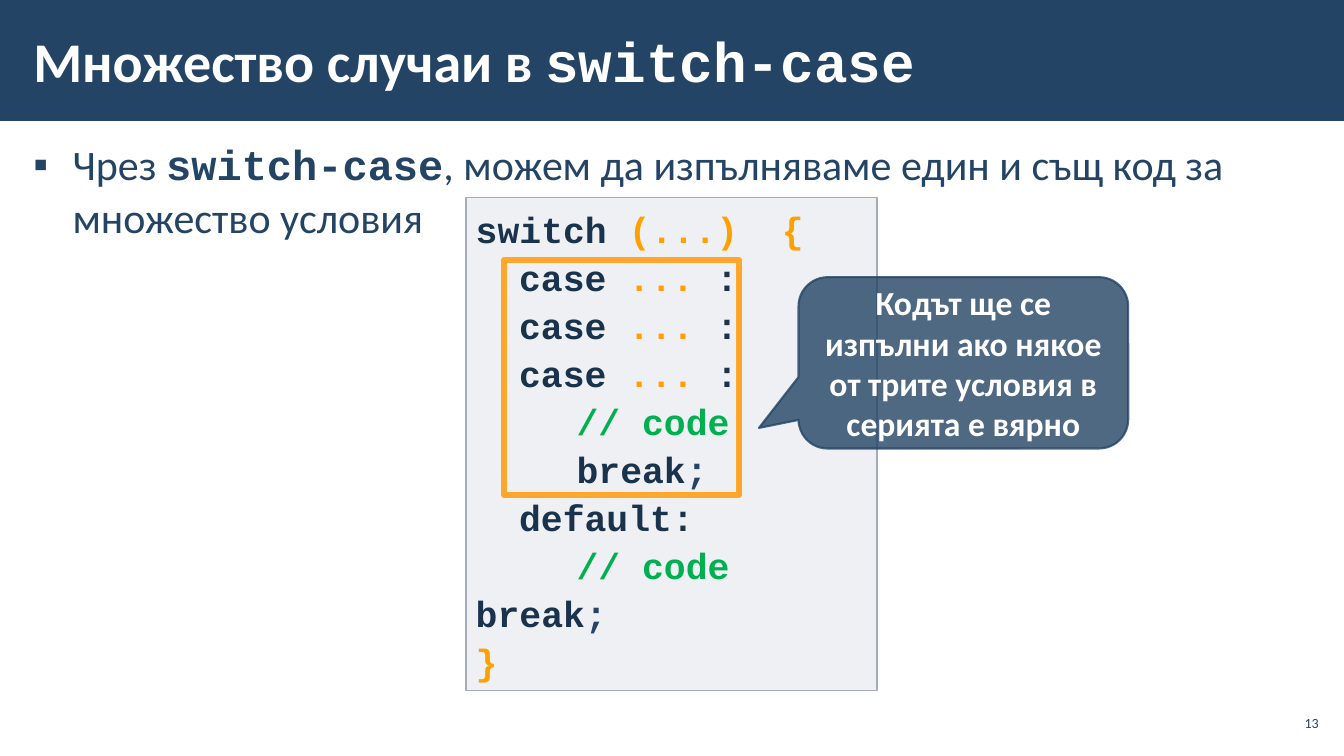
from dataclasses import dataclass

from lxml.etree import SubElement as sub_el
from pptx import Presentation
from pptx.dml.color import RGBColor as Rgb
from pptx.enum.shapes import MSO_SHAPE as Kind
from pptx.enum.text import MSO_ANCHOR as Anchor, MSO_AUTO_SIZE as Fit, PP_ALIGN as Align
from pptx.oxml.ns import qn
from pptx.util import Inches, Pt

HUES = {
    "navy": "234465", "white": "FFFFFF", "ink": "1A334C", "orange": "FFA000",
    "frame": "FFA72A", "green": "00B050", "panel": "C2C7D2", "edge": "A3ABBC",
}
SANS, MONO = "Calibri", "Courier New"


@dataclass
class Run:
    text: str
    hue: str
    size: int
    face: str = SANS
    bold: bool = False


@dataclass
class Box:
    kind: Kind
    left: float
    top: float
    width: float
    height: float
    fill: str = ""
    clear: int = 100
    line: str = ""
    weight: float = 0
    line_clear: int = 100


def apply(target, form: dict) -> None:
    for name, value in form.items():
        setattr(target, name, value)


def place(shape, left: float, top: float, width: float, height: float) -> None:
    apply(shape, {"left": Inches(left), "top": Inches(top),
                  "width": Inches(width), "height": Inches(height)})


def paint(fill, hue: str, clear: int) -> None:
    fill.solid()
    fill.fore_color.rgb = Rgb.from_string(HUES[hue])
    if clear < 100:
        tone = fill._xPr.find(qn("a:solidFill"))[0]
        sub_el(tone, qn("a:alpha"), val=str(clear * 1000))


def draw(slide, box: Box):
    shape = slide.shapes.add_shape(box.kind, *map(
        Inches, (box.left, box.top, box.width, box.height)))
    shape.shadow.inherit = False
    if box.fill:
        paint(shape.fill, box.fill, box.clear)
    else:
        shape.fill.background()
    if box.line:
        paint(shape.line.fill, box.line, box.line_clear)
        shape.line.width = Pt(box.weight)
    else:
        shape.line.fill.background()
    return shape


def frame(shape, anchor: Anchor, side: float = 0.1, edge: float = 0.05):
    text = shape.text_frame
    apply(text, {
        "word_wrap": True, "auto_size": Fit.NONE, "vertical_anchor": anchor,
        "margin_left": Inches(side), "margin_right": Inches(side),
        "margin_top": Inches(edge), "margin_bottom": Inches(edge),
    })
    return text


def write(para, runs: list[Run], form: dict) -> None:
    apply(para, form)
    for item in runs:
        run = para.add_run()
        run.text = item.text
        apply(run.font, {"name": item.face, "size": Pt(item.size), "bold": item.bold})
        run.font.color.rgb = Rgb.from_string(HUES[item.hue])


def indent(para, left: float, first: float = 0) -> None:
    props = para._p.get_or_add_pPr()
    props.set("marL", str(Inches(left)))
    props.set("indent", str(Inches(first)))


def code(text: str, hue: str = "ink") -> Run:
    return Run(text, hue, 26, MONO, True)


def main() -> None:
    deck = Presentation()
    apply(deck, {"slide_width": Inches(13.33), "slide_height": Inches(7.5)})
    slide = deck.slides.add_slide(deck.slide_layouts[1])
    title, body = slide.placeholders

    # Title on its bar
    bar = draw(slide, Box(Kind.RECTANGLE, 0, 0, 13.33, 1.2, "navy"))
    title.element.addprevious(bar.element)
    place(title, 0.21, 0.11, 10.63, 0.97)
    write(frame(title, Anchor.MIDDLE, 0.12, 0.04).paragraphs[0], [
        Run("Множество случаи в ", "white", 40, SANS, True),
        Run("switch-case", "white", 40, MONO, True),
    ], {"alignment": Align.LEFT})

    # Bullet text
    place(body, 0.21, 1.31, 12.92, 6.05)
    point = frame(body, Anchor.TOP, 0.12, 0.04).paragraphs[0]
    write(point, [
        Run("Чрез ", "navy", 30),
        Run("switch-case", "navy", 30, MONO, True),
        Run(", можем да изпълняваме един и същ код за ", "navy", 30),
    ], {"line_spacing": 1.05, "space_before": Pt(6), "space_after": Pt(6)})
    point.add_line_break()
    write(point, [Run("множество условия", "navy", 30)], {})
    indent(point, 0.39, -0.39)
    sub_el(point._p.pPr, qn("a:buChar"), char="▪")

    # Slide number
    num = slide.shapes.add_textbox(*map(Inches, (12.65, 7, 0.47, 0.34)))
    write(frame(num, Anchor.MIDDLE, 0.04, 0.04).paragraphs[0],
          [Run("13", "navy", 10)], {"alignment": Align.RIGHT})

    # Code panel: left indent and runs of each line
    case = (0.43, [code("case "), code("... ", "orange"), code(":")])
    note = (1, [code("// code", "green")])
    stop = [code("break"), code(";", "navy")]
    lines = [
        (0, [code("switch "), code("(...)  {", "orange")]),
        *[case] * 3, note, (1, stop),
        (0.43, [code("default:")]), note, (0, stop),
        (0, [code("}", "orange")]),
    ]
    panel = draw(slide, Box(Kind.RECTANGLE, 4.62, 1.96, 4.08, 4.89,
                            "panel", 25, "edge", 1))
    text = frame(panel, Anchor.TOP)
    for spot, (left, runs) in enumerate(lines):
        para = text.add_paragraph() if spot else text.paragraphs[0]
        write(para, runs, {"alignment": Align.LEFT, "line_spacing": 1.1})
        indent(para, left)

    # Frame round the cases
    draw(slide, Box(Kind.RECTANGLE, 5, 2.58, 2.33, 2.33, line="frame", weight=4.5))

    # Callout
    hint = draw(slide, Box(Kind.ROUNDED_RECTANGULAR_CALLOUT, 7.92, 2.75, 3.27, 1.7,
                           "navy", 80, "navy", 1.5, 80))
    for spot, value in enumerate((-0.624, 0.384, 0.167)):
        hint.adjustments[spot] = round(value, 2)
    write(frame(hint, Anchor.MIDDLE).paragraphs[0], [
        Run("Кодът ще се изпълни ако някое от трите условия в серията е вярно",
            "white", 24, SANS, True),
    ], {"alignment": Align.CENTER})

    deck.save("out.pptx")


if __name__ == "__main__":
    main()
